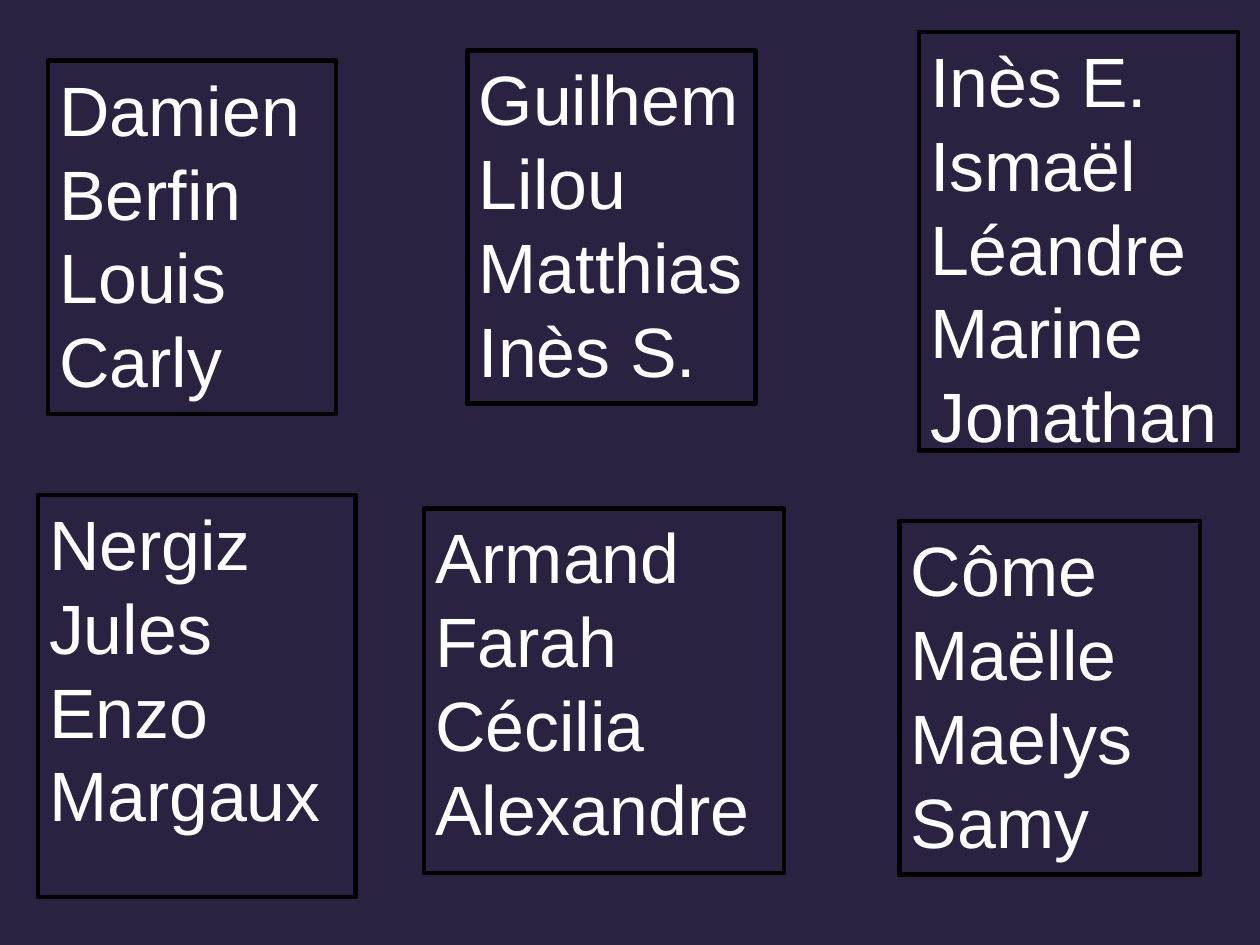
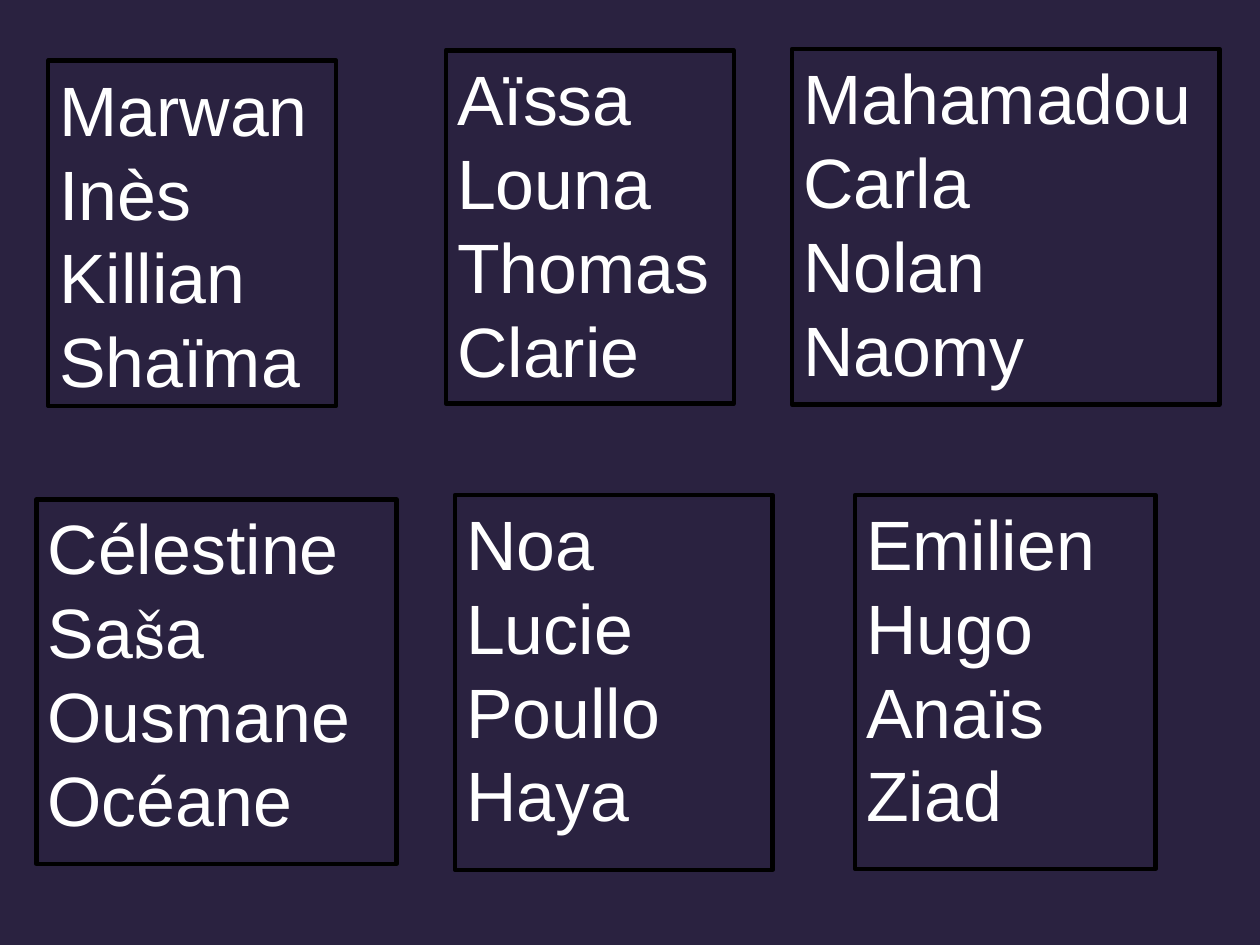
from dataclasses import dataclass
from itertools import groupby

from pptx import Presentation
from pptx.dml.color import RGBColor
from pptx.enum.shapes import MSO_SHAPE as Shape
from pptx.enum.text import MSO_ANCHOR as Anchor, PP_ALIGN as Align
from pptx.util import Cm, Pt


@dataclass(frozen=True)
class Theme:
    background: RGBColor = RGBColor(0x2A, 0x22, 0x40)
    text: RGBColor = RGBColor(0xFF, 0xFF, 0xFF)
    outline: RGBColor = RGBColor(0x00, 0x00, 0x00)
    outline_width: float = 2.83
    font: str = "Arial"
    accent_font: str = "TeX Gyre Schola"
    accent_letters: str = "š"
    name_size: float = 44
    line_pitch: float = 52.8


THEME = Theme()

GROUP_PAGES = [
    [
        ((1.07, 1.35, 6.4, 7.85), ["Damien", "Berfin", "Louis", "Carly"]),
        ((10.39, 1.12, 6.4, 7.85), ["Guilhem", "Lilou", "Matthias", "Inès S."]),
        ((20.42, 0.71, 7.09, 9.3), ["Inès E.", "Ismaël", "Léandre", "Marine", "Jonathan"]),
        ((0.84, 11, 7.06, 8.94), ["Nergiz", "Jules", "Enzo", "Margaux"]),
        ((9.42, 11.3, 8, 8.1), ["Armand", "Farah", "Cécilia", "Alexandre"]),
        ((19.99, 11.58, 6.68, 7.85), ["Côme", "Maëlle", "Maelys", "Samy"]),
    ],
    [
        ((1.07, 1.35, 6.4, 7.67), ["Marwan", "Inès", "Killian", "Shaïma"]),
        ((9.91, 1.12, 6.4, 7.85), ["Aïssa", "Louna", "Thomas", "Clarie"]),
        ((17.6, 1.09, 9.5, 7.9), ["Mahamadou", "Carla", "Nolan", "Naomy"]),
        ((0.81, 11.1, 8, 8.1), ["Célestine", "Saša", "Ousmane", "Océane"]),
        ((10.11, 11, 7.06, 8.33), ["Noa", "Lucie", "Poullo", "Haya"]),
        ((19, 11, 6.68, 8.31), ["Emilien", "Hugo", "Anaïs", "Ziad"]),
    ],
]


def add_span(para, text, *, font=THEME.font, size=THEME.name_size, color=THEME.text):
    span = para.add_run()
    span.text = text
    span.font.name = font
    span.font.size = Pt(size)
    span.font.color.rgb = color


def write_name(para, name):
    para.alignment = Align.LEFT
    para.line_spacing = Pt(THEME.line_pitch)
    for accented, letters in groupby(name, lambda letter: letter in THEME.accent_letters):
        add_span(para, "".join(letters), font=THEME.accent_font if accented else THEME.font)


def add_group(page, bounds, names):
    box = page.shapes.add_shape(Shape.RECTANGLE, *map(Cm, bounds))
    box.shadow.inherit = False
    box.fill.background()
    box.line.color.rgb = THEME.outline
    box.line.width = Pt(THEME.outline_width)
    frame = box.text_frame
    frame.word_wrap = True
    frame.vertical_anchor = Anchor.TOP
    frame.margin_right = 0
    for index, name in enumerate(names):
        write_name(frame.add_paragraph() if index else frame.paragraphs[0], name)


def add_group_page(deck, groups):
    page = deck.slides.add_slide(deck.slide_layouts.get_by_name("Blank"))
    for bounds, names in groups:
        add_group(page, bounds, names)


def main():
    deck = Presentation()
    deck.slide_width, deck.slide_height = Cm(28), Cm(21)
    backdrop = deck.slide_master.background.fill
    backdrop.solid()
    backdrop.fore_color.rgb = THEME.background
    for groups in GROUP_PAGES:
        add_group_page(deck, groups)
    deck.save("out.pptx")


if __name__ == "__main__":
    main()
